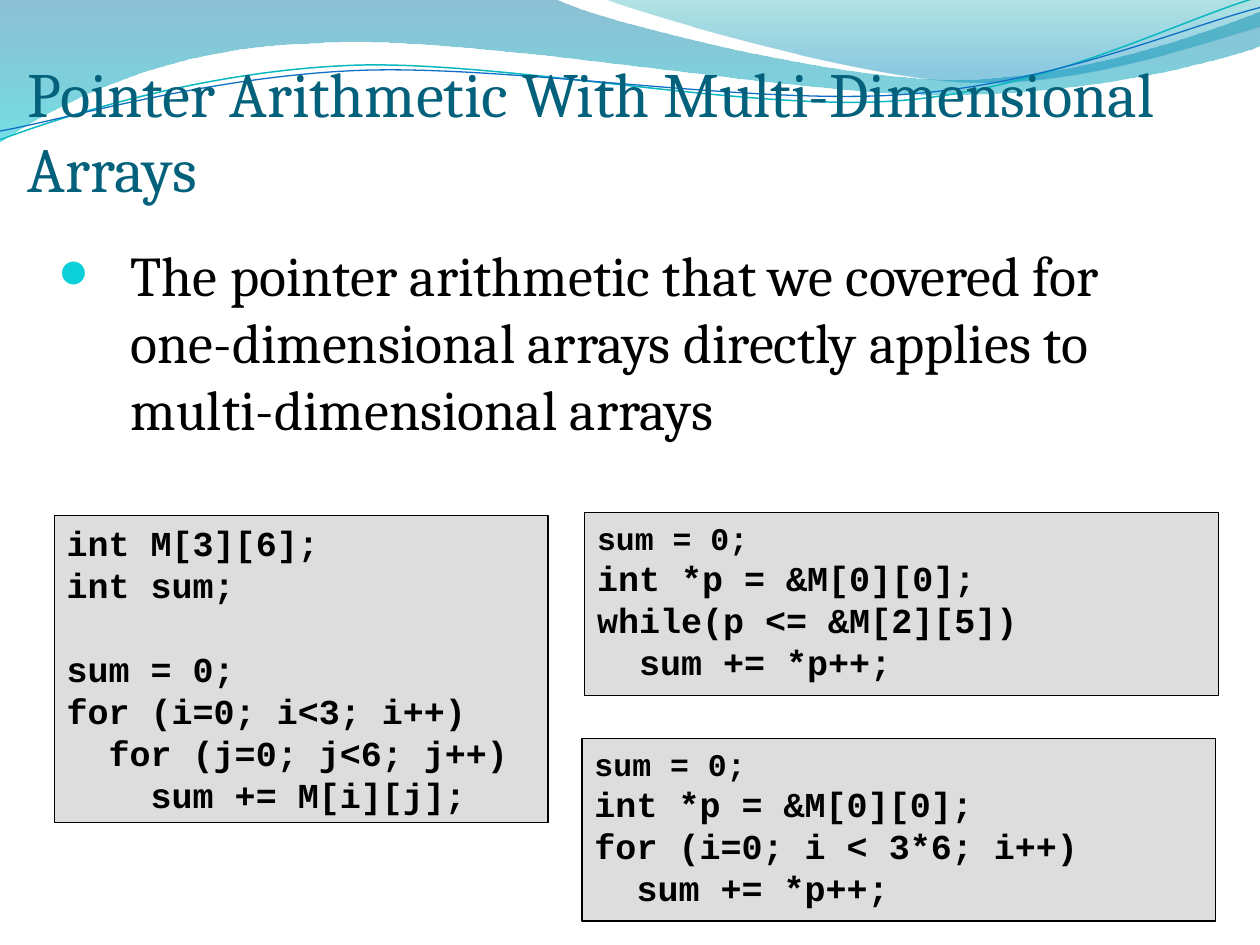
from lxml.etree import SubElement
from pptx import Presentation
from pptx.dml.color import RGBColor
from pptx.enum.shapes import MSO_SHAPE as Shape
from pptx.enum.text import MSO_ANCHOR as Anchor, MSO_AUTO_SIZE as Fit, PP_ALIGN as Align
from pptx.oxml.ns import qn
from pptx.util import Inches, Pt

HEX = {"title": "04617B", "bullet": "0BD0D9", "ink": "000000", "box": "DDDDDD",
       "teal": "0AB8BF", "blue": "0F6FC6"}
RGB = {name: RGBColor.from_string(code) for name, code in HEX.items()}

deck = Presentation()
deck.slide_width, deck.slide_height = Inches(10), Inches(7.5)
slide = deck.slides.add_slide(deck.slide_layouts[5])
shapes = slide.shapes


def draw(start, parts, close):
    """Outline from parts: 2 numbers make a line, 6 a Bezier curve."""
    dots = [part[i:i + 2] for part in parts for i in range(0, len(part), 2)]
    path = shapes.build_freeform(Inches(start[0]), Inches(start[1]), scale=1.0)
    path.add_line_segments([(Inches(x), Inches(y)) for x, y in dots], close=close)
    wave = path.convert_to_shape()
    wave.shadow.inherit = False
    # Merge the three points of each curve into one Bezier step
    steps = iter(list(wave._element.spPr.iter(qn("a:lnTo"))))
    for part in parts:
        group = [next(steps) for _ in range(len(part) // 2)]
        if len(group) == 3:
            group[0].tag = qn("a:cubicBezTo")
            for extra in group[1:]:
                group[0].append(extra[0])
                extra.getparent().remove(extra)
    return wave


def style(run, size, font, color, bold=False):
    look = {"size": Pt(size), "name": font, "bold": bold}
    for key, value in look.items():
        setattr(run.font, key, value)
    run.font.color.rgb = RGB[color]


# Gradient waves: start, parts, stops of (position, colour, opacity %)
waves = [
    ((0, 0), [(4.4, -0.01), (4.76, 0.17, 6.64, 0.63, 7.58, 0.63),
              (8.53, 0.63, 9.58, 0.26, 10, 0.09), (10.01, 0.36),
              (9.83, 0.44, 8.7, 0.76, 7.46, 0.75), (6.22, 0.75, 3.82, 0.28, 2.57, 0.34),
              (1.29, 0.36, 0.46, 0.83, -0.01, 1.13)],
     [(0, "0074A1", 45), (1, "00C6CF", 55)]),
    ((4.79, -0.01), [(5.09, 0.11, 6.82, 0.62, 7.69, 0.65),
                     (8.56, 0.69, 9.61, 0.32, 10, 0.21), (10, 0)],
     [(0, "00A1A9", 30), (0.8, "008BBF", 45)]),
]
for start, parts, stops in waves:
    wave = draw(start, parts, True)
    wave.line.fill.background()
    wave.fill.gradient()
    wave.fill.gradient_angle = 270
    for stop, (pos, code, _) in zip(wave.fill.gradient_stops, stops):
        stop.position = pos
        stop.color.rgb = RGBColor.from_string(code)
    tints = list(wave._element.spPr.iter(qn("a:srgbClr")))
    for tint, (_, _, alpha) in zip(tints, stops):
        SubElement(tint, qn("a:alpha")).set("val", str(alpha * 1000))

# Thin wave lines
lines = [
    ("teal", 0.85, (0, 1.11), [(0.48, 0.93, 1.58, 0.57, 2.77, 0.52),
                               (3.95, 0.47, 5.93, 0.89, 7.13, 0.8),
                               (8.33, 0.71, 9.38, 0.15, 9.98, -0.02)]),
    ("blue", 0.75, (0, 1.04), [(0.47, 0.96, 1.64, 0.61, 2.83, 0.56),
                               (4.03, 0.51, 5.97, 0.84, 7.17, 0.75),
                               (8.36, 0.67, 9.41, 0.21, 10, 0.06)]),
]
for color, width, start, parts in lines:
    wave = draw(start, parts, False)
    wave.fill.background()
    wave.line.color.rgb, wave.line.width = RGB[color], Pt(width)

# Title, brought in front of the waves
title = shapes.title
title._element.getparent().append(title._element)
place = {"left": 0.22, "top": 0.3, "width": 9.4, "height": 1.33}
for key, value in place.items():
    setattr(title, key, Inches(value))
frame = title.text_frame
frame.text = "Pointer Arithmetic With Multi-Dimensional Arrays"
setup = {"margin_left": 0, "margin_right": 0, "margin_bottom": 0, "word_wrap": True,
         "margin_top": Inches(0.05), "auto_size": Fit.NONE, "vertical_anchor": Anchor.BOTTOM}
for key, value in setup.items():
    setattr(frame, key, value)
frame.paragraphs[0].alignment = Align.LEFT
style(frame.paragraphs[0].runs[0], 36, "Cambria", "title")

# Bullet point
body = shapes.add_textbox(Inches(0.36), Inches(1.86), Inches(9.34), Inches(1.77)).text_frame
body.word_wrap = True
para = body.paragraphs[0]
para.space_before = Pt(6.4)
run = para.add_run()
run.text = ("The pointer arithmetic that we covered for one-dimensional arrays "
            "directly applies to multi-dimensional arrays")
style(run, 32, "Cambria", "ink")
props = para._p.get_or_add_pPr()
props.set("marL", str(Inches(0.58)))
props.set("indent", str(-Inches(0.58)))
SubElement(SubElement(props, qn("a:buClr")), qn("a:srgbClr")).set("val", HEX["bullet"])
SubElement(props, qn("a:buSzPct")).set("val", "95000")
SubElement(props, qn("a:buFont")).set("typeface", "Courier New")
SubElement(props, qn("a:buChar")).set("char", "●")

# Code boxes: place, size of the first line, code
pointer = "sum = 0;\nint *p = &M[0][0];\n{}\n  sum += *p++;"
codes = [
    ((0.43, 4.09, 3.92, 2.44), 20,
     "int M[3][6];\nint sum;\n\nsum = 0;\nfor (i=0; i<3; i++)\n"
     "  for (j=0; j<6; j++)\n    sum += M[i][j];"),
    ((4.64, 4.07, 5.03, 1.45), 18, pointer.format("while(p <= &M[2][5])")),
    ((4.62, 5.86, 5.03, 1.45), 18, pointer.format("for (i=0; i < 3*6; i++)")),
]
for spot, first, code in codes:
    box = shapes.add_shape(Shape.RECTANGLE, *map(Inches, spot))
    box.shadow.inherit = False
    box.fill.solid()
    box.fill.fore_color.rgb = RGB["box"]
    box.line.color.rgb, box.line.width = RGB["ink"], Pt(0.75)
    frame = box.text_frame
    setup = {"text": code, "word_wrap": True, "vertical_anchor": Anchor.TOP,
             "auto_size": Fit.SHAPE_TO_FIT_TEXT}
    for key, value in setup.items():
        setattr(frame, key, value)
    for row, para in enumerate(frame.paragraphs):
        para.alignment = Align.LEFT
        para.font.size = Pt(20)
        props = para._p.get_or_add_pPr()
        props.set("marL", str(Inches(0.38)))
        props.set("indent", str(-Inches(0.38)))
        for run in para.runs:
            style(run, 20 if row else first, "Courier New", "ink", True)

deck.save("out.pptx")
